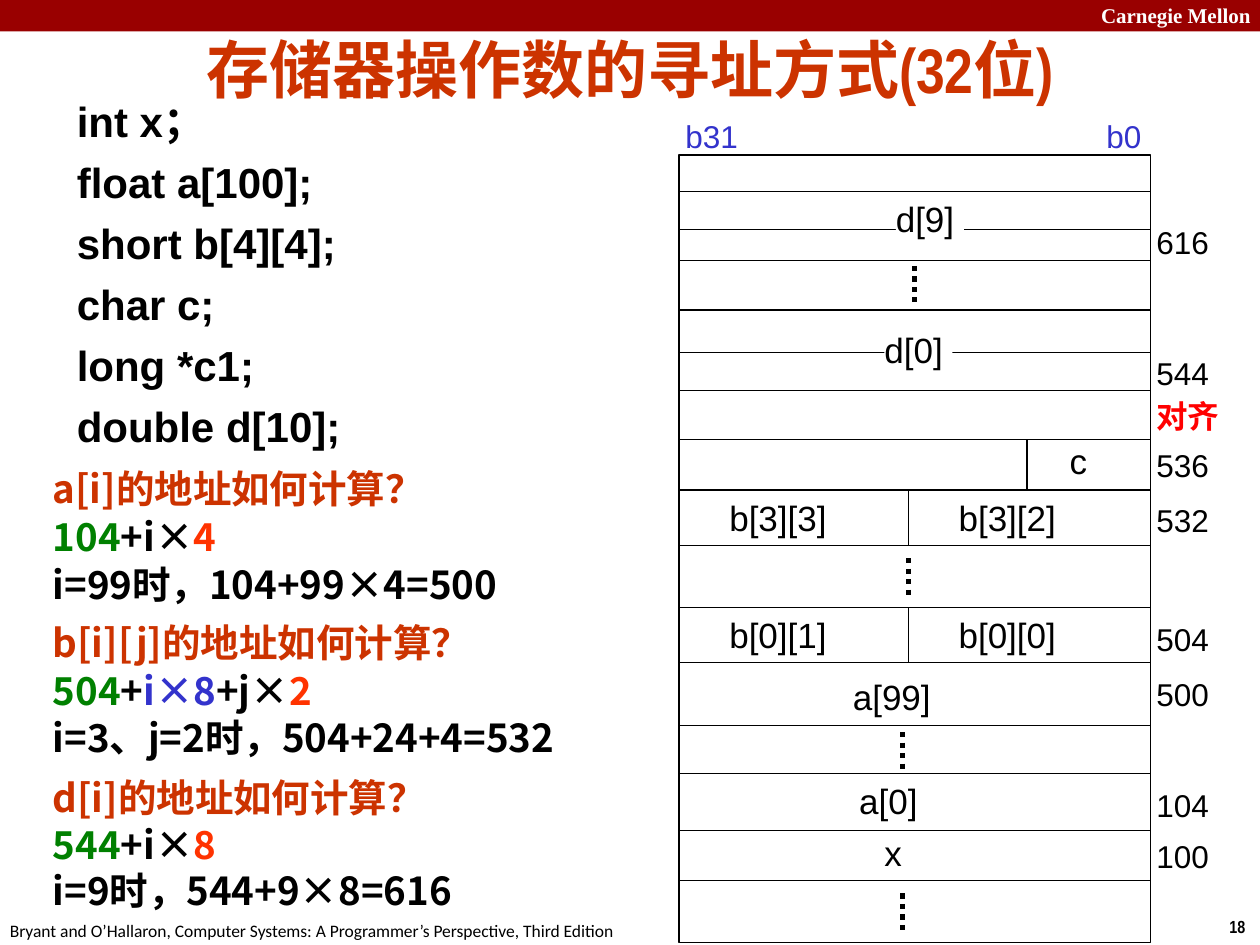
from typing import NamedTuple

from lxml.etree import SubElement
from pptx import Presentation
from pptx.dml.color import RGBColor
from pptx.enum.dml import MSO_LINE_DASH_STYLE as Dash
from pptx.enum.shapes import MSO_CONNECTOR as Connector, MSO_SHAPE as Shape
from pptx.enum.text import MSO_ANCHOR as Anchor, MSO_AUTO_SIZE as AutoSize, PP_ALIGN as Align
from pptx.oxml.ns import qn
from pptx.util import Inches, Pt

BLACK, WHITE, RUST, GREEN = "000000", "FFFFFF", "CC3300", "008000"
ORANGE, BLUE, RED, MAROON = "FF3300", "3333CC", "FF0000", "990000"
CJK_FONT = "Noto Sans CJK SC"
LEFT, RIGHT, TOP, BOTTOM = 5.39, 9.13, 1.23, 7.48  # memory diagram edges
ADDRESS_LEFT = 9.08


class Label(NamedTuple):
    text: str
    left: float
    top: float
    width: float


class Question(NamedTuple):
    title: str
    formula: list[tuple[str, str]]
    example: str
    before: float
    step: float


def color(hex_value: str) -> RGBColor:
    return RGBColor.from_string(hex_value)


def write(paragraph, text: str, *, size: float = 18, font: str = "Arial",
          fill: str = BLACK, bold: bool = False) -> None:
    """Append one formatted run to a paragraph."""
    run = paragraph.add_run()
    run.text = text
    run.font.size, run.font.name, run.font.bold = Pt(size), font, bold
    run.font.color.rgb = color(fill)
    SubElement(run.font._element, qn("a:ea"), typeface=CJK_FONT)


def place(shape, left: float, top: float, width: float, height: float) -> None:
    shape.left, shape.top = Inches(left), Inches(top)
    shape.width, shape.height = Inches(width), Inches(height)


def add_text(shapes, left: float, top: float, width: float, height: float,
             text: str = "", wrap: bool = True, **style):
    """Add a text box and return its first paragraph."""
    box = shapes.add_textbox(*map(Inches, (left, top, width, height)))
    box.text_frame.word_wrap = wrap
    paragraph = box.text_frame.paragraphs[0]
    if text:
        write(paragraph, text, **style)
    return paragraph


def add_box(shapes, left: float, top: float, width: float, height: float,
            fill: str, outline: str = ""):
    box = shapes.add_shape(Shape.RECTANGLE, *map(Inches, (left, top, width, height)))
    box.shadow.inherit = False
    box.fill.solid()
    box.fill.fore_color.rgb = color(fill)
    if outline:
        box.line.color.rgb = color(outline)
        box.line.width = Pt(0.75)
    else:
        box.line.fill.background()
    return box


def add_line(shapes, x1: float, y1: float, x2: float, y2: float, dotted: bool = False) -> None:
    line = shapes.add_connector(Connector.STRAIGHT, *map(Inches, (x1, y1, x2, y2)))
    line.line.color.rgb = color(BLACK)
    line.line.width = Pt(3 if dotted else 0.75)
    if dotted:
        line.line.dash_style = Dash.ROUND_DOT
    SubElement(line._element.spPr, qn("a:effectLst"))


DECLARATIONS = ["int x；", "float a[100];", "short b[4][4];", "char c;", "long *c1;", "double d[10];"]

QUESTIONS = [
    Question("a[i]的地址如何计算？", [("104", GREEN), ("+i×", BLACK), ("4", ORANGE)],
             "i=99时，104+99×4=500", 0, 1.1),
    Question("b[i][j]的地址如何计算？",
             [("504", GREEN), ("+", BLACK), ("i×8", BLUE), ("+j×", BLACK), ("2", ORANGE)],
             "i=3、j=2时，504+24+4=532", 6.8, 1.1),
    Question("d[i]的地址如何计算？", [("544", GREEN), ("+i×", BLACK), ("8", ORANGE)],
             "i=9时，544+9×8=616", 8, 0),
]

ROW_RULES = [1.52, 2.07, 2.46, 3.1, 3.49, 3.89, 4.33, 4.82, 5.26, 5.76, 6.14, 6.59, 6.99]
WORD_RULES = [1.82, 2.8]  # pass behind the two-word doubles
COLUMN_RULES = [(8.15, 3.49, 3.89), (7.21, 3.89, 4.33), (7.21, 4.82, 5.26)]
ELLIPSES = [(7.26, 2.11), (7.21, 4.43), (7.16, 5.81), (7.16, 7.09)]
DOUBLES = [Label("d[9]", 7.11, 1.52, 0.54), Label("d[0]", 7.02, 2.56, 0.54)]
CELLS = [
    Label("c", 8.39, 3.44, 0.44),
    Label("b[3][3]", 5.69, 3.89, 1.23), Label("b[3][2]", 7.51, 3.89, 1.23),
    Label("b[0][1]", 5.69, 4.82, 1.23), Label("b[0][0]", 7.51, 4.82, 1.23),
    Label("a[99]", 6.67, 5.31, 0.89), Label("a[0]", 6.72, 6.14, 0.89),
    Label("x", 6.92, 6.55, 0.44),
]
ADDRESSES = {"616": 1.72, "544": 2.76, "536": 3.49, "532": 3.93,
             "504": 4.87, "500": 5.31, "104": 6.19, "100": 6.59}


def add_frame(shapes) -> None:
    """Header band, footer and slide number."""
    add_box(shapes, 0, 0, 10, 0.25, MAROON)
    add_text(shapes, 8.64, -0.03, 1.43, 0.3, "Carnegie Mellon",
             size=12, font="Times New Roman", fill=WHITE, bold=True)
    add_text(shapes, 9.66, 7.22, 0.34, 0.27, "18", wrap=False,
             size=10, font="Arial Narrow", bold=True)
    add_text(shapes, -0.02, 7.25, 5.08, 0.27,
             "Bryant and O’Hallaron, Computer Systems: A Programmer’s Perspective, Third Edition",
             wrap=False, size=10, font="Calibri")


def fill_title(title) -> None:
    place(title, 0.5, 0.24, 9, 0.61)
    frame = title.text_frame
    frame.auto_size, frame.vertical_anchor = AutoSize.NONE, Anchor.MIDDLE
    paragraph = frame.paragraphs[0]
    paragraph.alignment = Align.CENTER
    write(paragraph, "存储器操作数的寻址方式", size=36, fill=RUST, bold=True)
    write(paragraph, "(32位)", size=36, font="Arial Narrow", fill=RUST, bold=True)


def fill_declarations(body) -> None:
    place(body, 0.51, 0.71, 3.4, 2.49)
    frame = body.text_frame
    frame.auto_size = AutoSize.NONE
    for index, text in enumerate(DECLARATIONS):
        paragraph = frame.add_paragraph() if index else frame.paragraphs[0]
        properties = paragraph._p.get_or_add_pPr()
        properties.set("marL", str(Inches(0.38)))
        properties.set("indent", str(Inches(-0.38)))
        SubElement(properties, qn("a:buNone"))
        paragraph.space_before = Pt(6 if index else 0)
        write(paragraph, text, size=24, bold=True)


def add_questions(shapes) -> None:
    paragraph = add_text(shapes, 0.32, 3.64, 4.68, 3.73)
    frame = paragraph._parent
    for number, question in enumerate(QUESTIONS):
        lines = [([(question.title, RUST)], question.before),
                 (question.formula, question.step),
                 ([(question.example, BLACK)], question.step)]
        for index, (runs, before) in enumerate(lines):
            if number or index:
                paragraph = frame.add_paragraph()
            paragraph.line_spacing, paragraph.space_before = Pt(26.3), Pt(before)
            for text, fill in runs:
                write(paragraph, text, size=22, font=CJK_FONT, fill=fill, bold=True)


def add_memory(shapes) -> None:
    add_box(shapes, LEFT, TOP, RIGHT - LEFT, BOTTOM - TOP, WHITE, BLACK)

    # Bit numbers at both ends of a word
    bits = add_text(shapes, 5.34, 0.88, 3.99, 0.4)
    tabs = SubElement(bits._p.get_or_add_pPr(), qn("a:tabLst"))
    SubElement(tabs, qn("a:tab"), pos=str(Inches(3.62)), algn="r")
    write(bits, "b31\tb0", fill=BLUE)

    # Doubles mask the rule between their two words
    for y in WORD_RULES:
        add_line(shapes, LEFT, y, RIGHT, y)
    for label in DOUBLES:
        box = add_box(shapes, label.left, label.top, label.width, 0.43, WHITE)
        frame = box.text_frame
        frame.margin_left = frame.margin_right = 0
        frame.vertical_anchor = Anchor.TOP
        frame.paragraphs[0].alignment = Align.LEFT
        write(frame.paragraphs[0], label.text, size=20)

    # Rules and ellipses
    for y in ROW_RULES:
        add_line(shapes, LEFT, y, RIGHT, y)
    for x, start, end in COLUMN_RULES:
        add_line(shapes, x, start, x, end)
    for x, y in ELLIPSES:
        add_line(shapes, x, y, x, y + 0.29, dotted=True)

    # Cell contents and addresses
    for label in CELLS:
        add_text(shapes, label.left, label.top, label.width, 0.43, label.text, size=20)
    for address, y in ADDRESSES.items():
        add_text(shapes, ADDRESS_LEFT, y, 0.64, 0.4, address)


def main() -> None:
    presentation = Presentation()
    presentation.slide_width, presentation.slide_height = Inches(10), Inches(7.5)
    slide = presentation.slides.add_slide(presentation.slide_layouts[1])
    add_frame(slide.shapes)
    fill_title(slide.shapes.title)
    fill_declarations(slide.placeholders[1])
    add_questions(slide.shapes)
    add_memory(slide.shapes.add_group_shape().shapes)
    add_text(slide.shapes, ADDRESS_LEFT, 3.1, 0.71, 0.4, "对齐", wrap=False,
             font="Calibri", fill=RED, bold=True)
    presentation.save("out.pptx")


if __name__ == "__main__":
    main()
